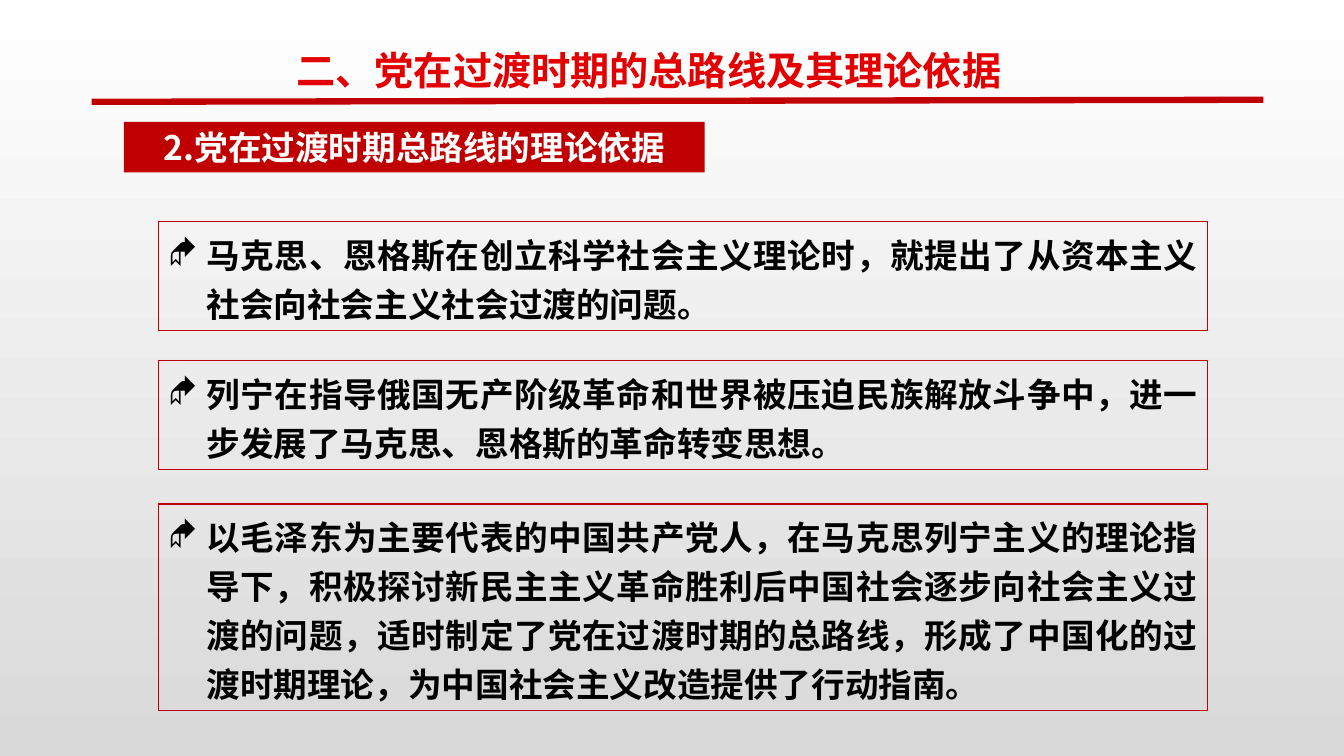
import pptx
import pptx.util
import pptx.dml.color
import pptx.enum.shapes
import pptx.enum.text
import pptx.oxml
import pptx.oxml.ns

Inches = pptx.util.Inches
Pt = pptx.util.Pt
Align = pptx.enum.text.PP_ALIGN
Anchor = pptx.enum.text.MSO_ANCHOR
FONT = "Noto Sans CJK SC"
RED = "C00000"
LEFT, WIDTH = 1.57, 10.41
LEAD = 34.8
POINTS = [
    (2.2, 1.08, "马克思、恩格斯在创立科学社会主义理论时，就提出了从资本主义社会向社会主义社会过渡的问题。"),
    (3.58, 1.08, "列宁在指导俄国无产阶级革命和世界被压迫民族解放斗争中，进一步发展了马克思、恩格斯的革命转变思想。"),
    (5, 2.05, "以毛泽东为主要代表的中国共产党人，在马克思列宁主义的理论指导下，"
              "积极探讨新民主主义革命胜利后中国社会逐步向社会主义过渡的问题，"
              "适时制定了党在过渡时期的总路线，形成了中国化的过渡时期理论，"
              "为中国社会主义改造提供了行动指南。"),
]


def color(code):
    return pptx.dml.color.RGBColor.from_string(code)


def add_tag(parent, tag, **attrs):
    node = pptx.oxml.ns.qn(tag)
    child = parent.makeelement(node, attrs)
    parent.append(child)


def add_run(para, text, size, code):
    run = para.add_run()
    run.text = text
    run.font.name = FONT
    run.font.size = Pt(size)
    run.font.bold = True
    run.font.color.rgb = color(code)
    add_tag(run.font._element, "a:ea", typeface=FONT)


def set_frame(shape, anchor, align):
    """Prepare the text frame and return its first paragraph."""
    frame = shape.text_frame
    frame.word_wrap = True
    frame.auto_size = pptx.enum.text.MSO_AUTO_SIZE.NONE
    frame.vertical_anchor = anchor
    para = frame.paragraphs[0]
    para.alignment = align
    return para


def add_box(slide, left, top, width, height):
    box = slide.shapes.add_shape(
        pptx.enum.shapes.MSO_SHAPE.RECTANGLE,
        Inches(left), Inches(top), Inches(width), Inches(height))
    box.shadow.inherit = False
    return box


def add_title(slide, text):
    title = slide.shapes.title
    title.left, title.top = Inches(2.82), Inches(0.18)
    title.width, title.height = Inches(7.23), Inches(0.81)
    para = set_frame(title, Anchor.TOP, Align.CENTER)
    para.line_spacing = 1.5
    add_run(para, text, 28, "E30000")


def add_banner(slide, text):
    box = add_box(slide, 1.23, 1.21, 5.76, 0.5)
    box.fill.solid()
    box.fill.fore_color.rgb = color(RED)
    box.line.fill.background()
    para = set_frame(box, Anchor.MIDDLE, Align.CENTER)
    add_run(para, text, 24, "FFFFFF")


def add_rule(slide):
    rule = slide.shapes.add_connector(
        pptx.enum.shapes.MSO_CONNECTOR.STRAIGHT,
        Inches(0.91), Inches(1.01), Inches(12.53), Inches(0.99))
    rule.line.color.rgb = color(RED)
    rule.line.width = Pt(4.5)
    add_tag(rule._element.spPr, "a:effectLst")


def add_point(slide, top, height, text):
    box = add_box(slide, LEFT, top, WIDTH, height)
    box.fill.background()
    box.line.color.rgb = color(RED)
    box.line.width = Pt(0.75)
    para = set_frame(box, Anchor.TOP, Align.JUSTIFY)
    para.line_spacing = Pt(LEAD)
    props = para._p.get_or_add_pPr()
    props.set("marL", str(Inches(0.38)))
    props.set("indent", str(-Inches(0.38)))
    add_tag(props, "a:buFont", typeface="Wingdings")
    add_tag(props, "a:buChar", char="◆")
    add_run(para, text, 24, "000000")


def set_back(slide):
    fill = slide.background.fill
    fill.gradient()
    fill.gradient_angle = 270
    for stop, code in zip(fill.gradient_stops, ("FFFFFF", "D9D9D9")):
        stop.color.rgb = color(code)


def main():
    deck = pptx.Presentation()
    deck.slide_width, deck.slide_height = Inches(13.33), Inches(7.5)
    slide = deck.slides.add_slide(deck.slide_layouts[5])
    set_back(slide)
    add_title(slide, "二、党在过渡时期的总路线及其理论依据")
    add_banner(slide, "2.党在过渡时期总路线的理论依据")
    add_rule(slide)
    for top, height, text in POINTS:
        add_point(slide, top, height, text)
    deck.save("out.pptx")


if __name__ == "__main__":
    main()
